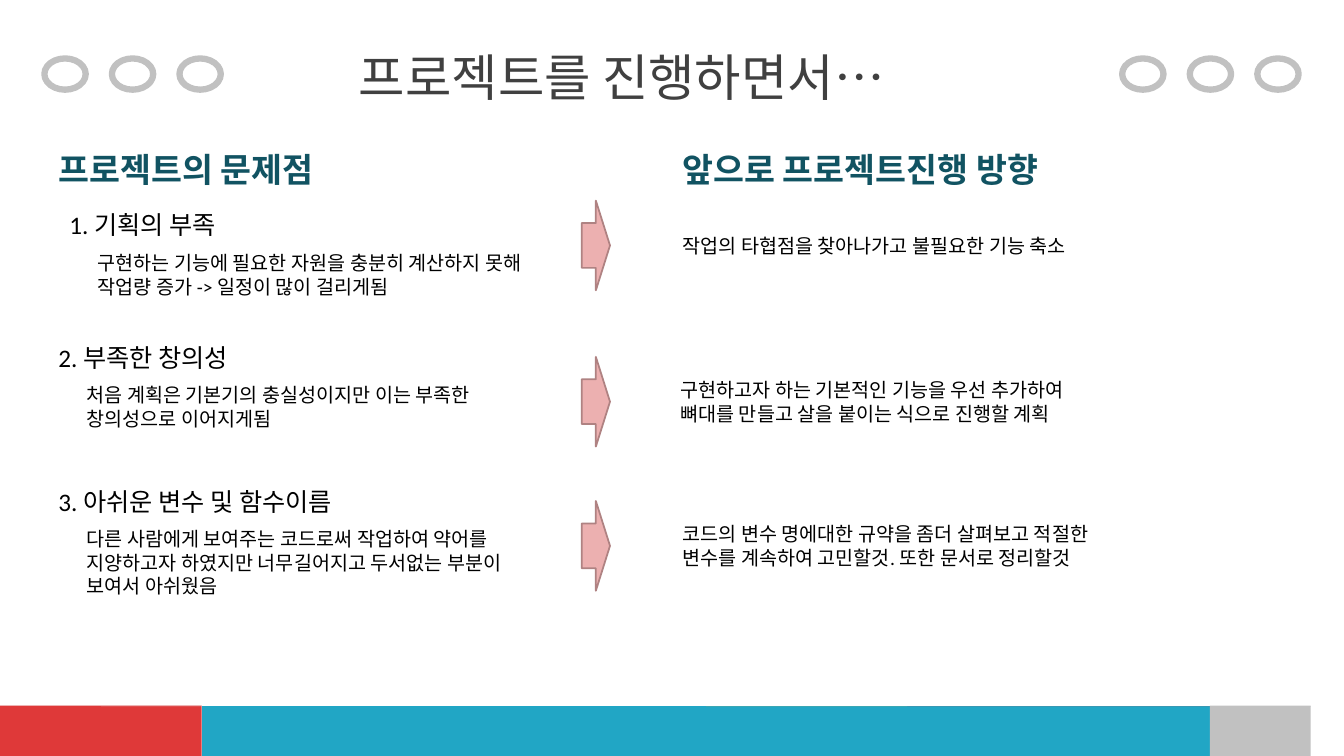
from pptx import Presentation
from pptx import util as u
from pptx.dml.color import RGBColor
from pptx.enum import shapes, text

COLORS = {
    "title": "404040",
    "heading": "115362",
    "body": "000000",
    "arrow": "ECB0B0",
    "arrow_line": "AF8282",
    "gray": "C1C1C1",
    "light_gray": "DADADA",
    "red": "DF3939",
    "blue": "21A6C5",
    "orange": "F0A73C",
}

FOOTER_BANDS = [
    ("gray", [(0, 6.81), (1.79, 6.84), (1.99, 6.97), (0.76, 6.97), (0.74, 7.04), (0, 7.04)]),
    ("red", [(0, 7.08), (0.73, 7.08), (0.68, 7.19), (1.5, 7.19), (1.59, 7.5), (0, 7.5)]),
    ("light_gray", [(0.8, 6.99), (7.35, 7), (7.25, 7.13), (0.73, 7.16)]),
    ("blue", [(1.54, 7.2), (11.95, 7.16), (11.84, 7.51), (1.62, 7.51)]),
    ("orange", [(7.44, 6.92), (8.97, 6.95), (9.01, 7.13), (7.3, 7.14)]),
    ("red", [(8.99, 6.95), (12.59, 6.96), (12.2, 7.11), (9.06, 7.13)]),
    ("blue", [(12.67, 6.96), (13.14, 6.96), (12.72, 7.12), (12.27, 7.12)]),
    ("gray", [(12.01, 7.15), (12.74, 7.16), (13.24, 6.96), (13.33, 6.96), (13.33, 7.5), (11.9, 7.5)]),
]

PROBLEMS = [
    ((0.59, 2.03, 2.56, 0.4), "1. 기획의 부족",
     (0.87, 2.44, 4.55, 0.57),
     "구현하는 기능에 필요한 자원을 충분히 계산하지 못해 작업량 증가 -> 일정이 많이 걸리게됨",
     1.99, (6.67, 2.27, 4.55, 0.34),
     "작업의 타협점을 찾아나가고 불필요한 기능 축소"),
    ((0.48, 3.35, 2.56, 0.4), "2. 부족한 창의성",
     (0.76, 3.75, 4.55, 0.57),
     "처음 계획은 기본기의 충실성이지만 이는 부족한\v창의성으로 이어지게됨",
     3.54, (6.65, 3.7, 4.72, 0.57),
     "구현하고자 하는 기본적인 기능을 우선 추가하여\n뼈대를 만들고 살을 붙이는 식으로 진행할 계획"),
    ((0.48, 4.78, 3.17, 0.4), "3. 아쉬운 변수 및 함수이름",
     (0.76, 5.18, 4.55, 0.81),
     "다른 사람에게 보여주는 코드로써 작업하여 약어를\n"
     "지양하고자 하였지만 너무길어지고 두서없는 부분이 보여서 아쉬웠음",
     4.97, (6.67, 5.13, 4.55, 0.57),
     "코드의 변수 명에대한 규약을 좀더 살펴보고 적절한 변수를 계속하여 고민할것. 또한 문서로 정리할것"),
]


class SlideBuilder:
    font = "Calibri"

    def __init__(self, slide):
        self.slide = slide

    def color(self, name):
        return RGBColor.from_string(COLORS[name])

    def fill(self, shape, name):
        shape.fill.solid()
        shape.fill.fore_color.rgb = self.color(name)

    def outline(self, shape, name, width):
        shape.line.color.rgb = self.color(name)
        shape.line.width = u.Pt(width)

    def set_text(self, shape, content, size, color, bold=False):
        frame = shape.text_frame
        frame.text = content
        frame.word_wrap = True
        frame.auto_size = text.MSO_AUTO_SIZE.SHAPE_TO_FIT_TEXT
        frame.vertical_anchor = text.MSO_ANCHOR.TOP
        for paragraph in frame.paragraphs:
            paragraph.alignment = text.PP_ALIGN.LEFT
            paragraph.line_spacing = 1.0
            paragraph.space_before = u.Pt(0)
            for run in paragraph.runs:
                run.font.name = self.font
                run.font.size = u.Pt(size)
                run.font.bold = bold
                run.font.color.rgb = self.color(color)

    def placeholder(self, index, box, content, size, color, bold=False):
        shape = next(item for item in self.slide.placeholders
                     if item.placeholder_format.idx == index)
        shape.left, shape.top, shape.width, shape.height = map(u.Inches, box)
        self.set_text(shape, content, size, color, bold)

    def textbox(self, box, content, size):
        shape = self.slide.shapes.add_textbox(*map(u.Inches, box))
        self.set_text(shape, content, size, "body")

    def band(self, color, points):
        builder = self.slide.shapes.build_freeform(*points[0], scale=u.Inches(1))
        builder.add_line_segments(points[1:], close=True)
        shape = builder.convert_to_shape()
        shape.shadow.inherit = False
        self.fill(shape, color)
        shape.line.fill.background()

    def ring(self, left):
        shape = self.slide.shapes.add_shape(
            shapes.MSO_SHAPE.OVAL, u.Inches(left), u.Inches(0.58), u.Inches(0.41), u.Inches(0.31))
        shape.shadow.inherit = False
        shape.fill.background()
        self.outline(shape, "gray", 4.5)

    def arrow(self, top):
        shape = self.slide.shapes.add_shape(
            shapes.MSO_SHAPE.RIGHT_ARROW, u.Inches(5.77), u.Inches(top), u.Inches(0.28), u.Inches(0.89))
        shape.shadow.inherit = False
        self.fill(shape, "arrow")
        self.outline(shape, "arrow_line", 1.25)

    def remove_empty_placeholders(self):
        for shape in list(self.slide.placeholders):
            if not shape.text_frame.text:
                shape.element.getparent().remove(shape.element)


def main():
    presentation = Presentation()
    presentation.slide_width = u.Inches(13.33)
    presentation.slide_height = u.Inches(7.5)
    comparison_layout = presentation.slide_layouts[4]
    builder = SlideBuilder(presentation.slides.add_slide(comparison_layout))

    for color, points in FOOTER_BANDS:
        builder.band(color, points)
    for group_left in (0.44, 11.13):
        for position in range(3):
            builder.ring(group_left + position * 0.67)

    builder.placeholder(0, (3.46, 0.41, 7.41, 0.71), "프로젝트를 진행하면서…", 36, "title")
    builder.placeholder(1, (0.48, 1.43, 3.06, 0.5), "프로젝트의 문제점", 24, "heading", True)
    builder.placeholder(3, (6.67, 1.43, 4.17, 0.5), "앞으로 프로젝트진행 방향", 24, "heading", True)
    builder.remove_empty_placeholders()

    for name_box, name, detail_box, detail, arrow_top, plan_box, plan in PROBLEMS:
        builder.textbox(name_box, name, 18)
        builder.textbox(detail_box, detail, 14)
        builder.arrow(arrow_top)
        builder.textbox(plan_box, plan, 14)

    presentation.save("out.pptx")


if __name__ == "__main__":
    main()
